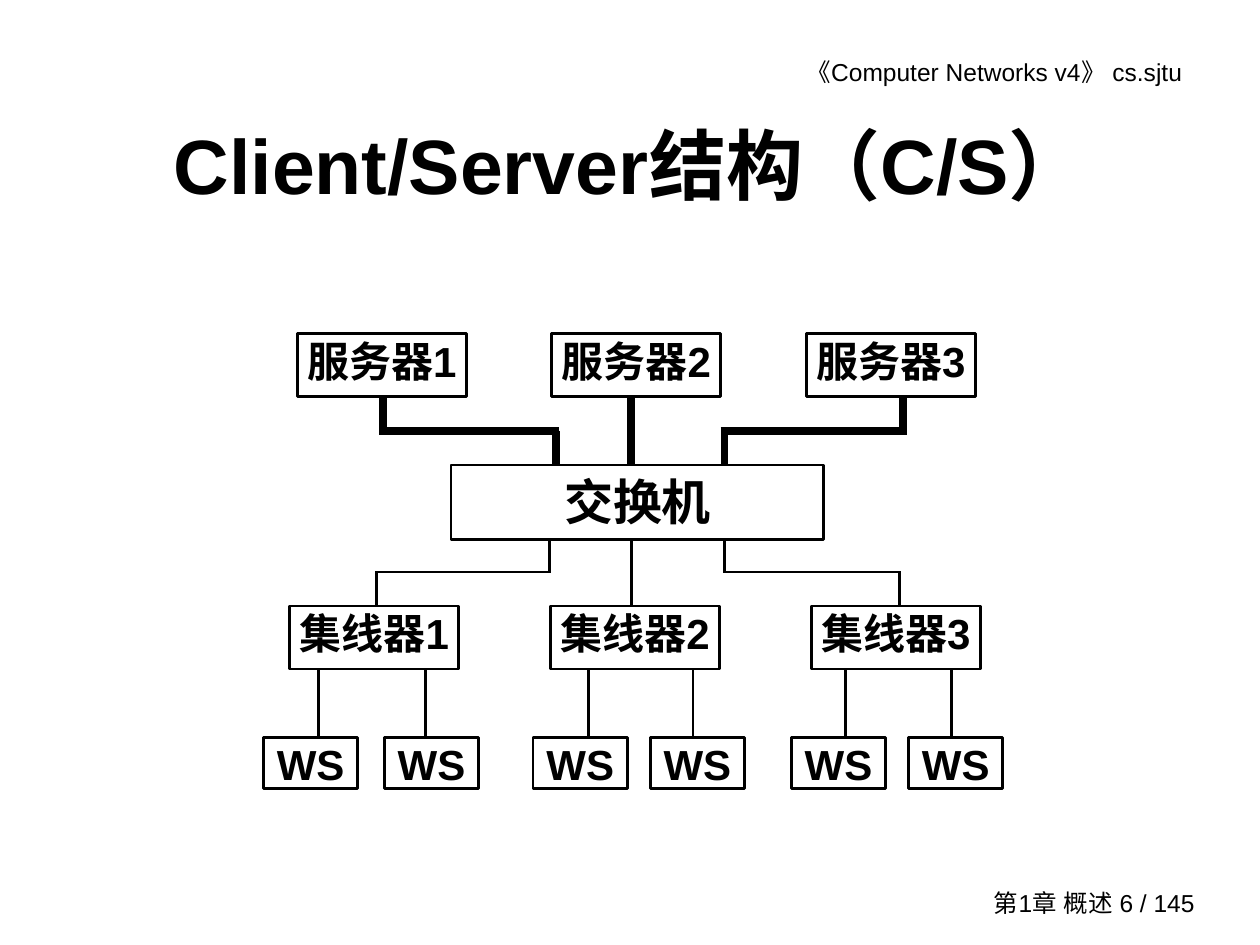
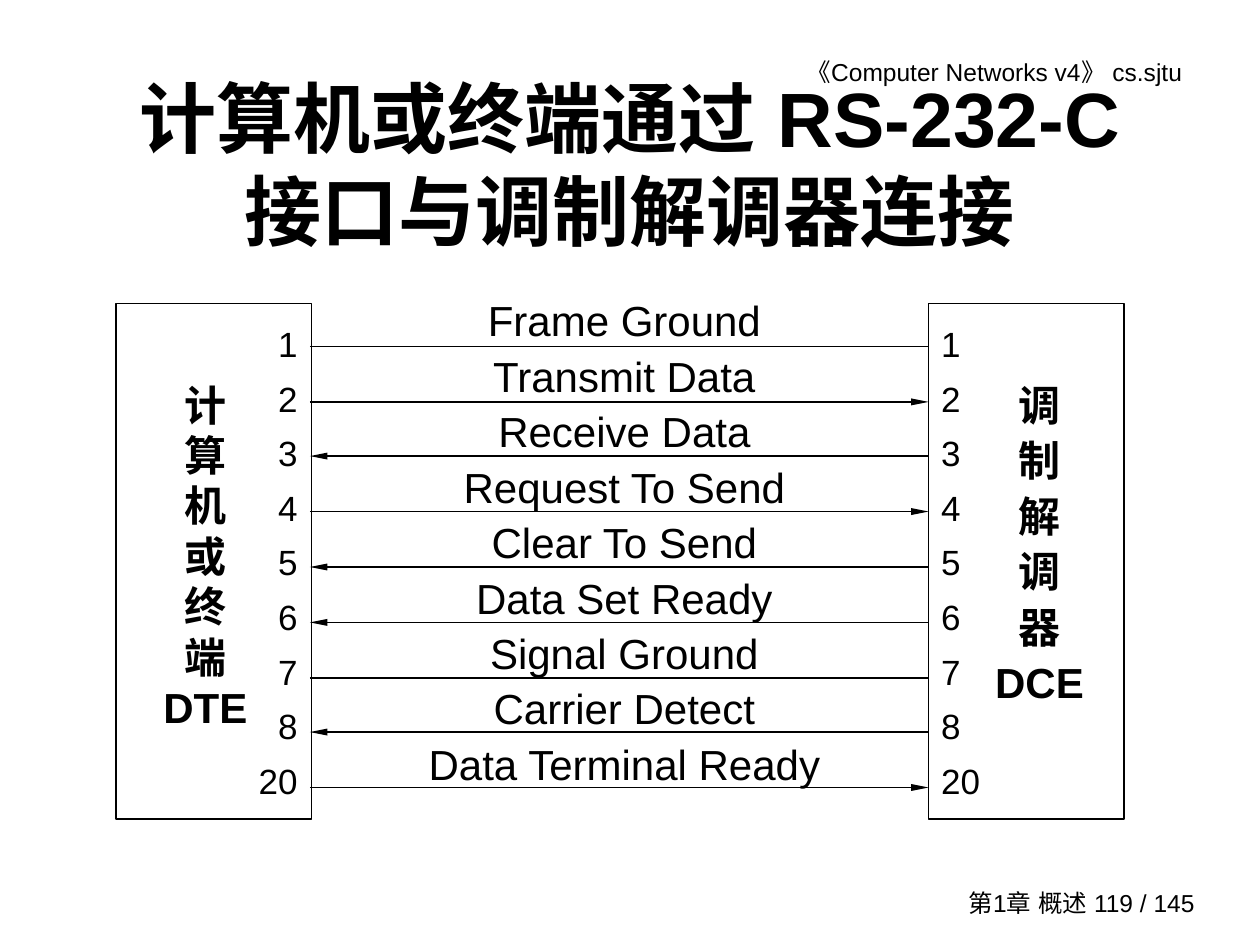
from pptx import Presentation
from pptx.dml.color import RGBColor
from pptx.enum.shapes import MSO_CONNECTOR, MSO_SHAPE
from pptx.enum.text import MSO_ANCHOR, PP_ALIGN
from pptx.oxml.ns import qn
from pptx.util import Pt
from lxml import etree

SCALE = 9144  # EMU in one px, 100 px to the inch
BLACK, WHITE = "000000", "FFFFFF"
LATIN, HAN = "Arial", "Noto Sans CJK SC"
LEFT, MID, RIGHT = PP_ALIGN.LEFT, PP_ALIGN.CENTER, PP_ALIGN.RIGHT
TOP, CENTER = MSO_ANCHOR.TOP, MSO_ANCHOR.MIDDLE
RECT, LINE = MSO_SHAPE.RECTANGLE, MSO_CONNECTOR.STRAIGHT
LEAD = 1.2  # line pitch as a multiple of the text size

HEAD = {"size": 14, "align": RIGHT}
FOOT = {"size": 14, "align": RIGHT, "anchor": CENTER}
TITLE = {"size": 44, "bold": True, "align": MID, "anchor": CENTER}
NODE = {"size": 24, "bold": True, "align": MID, "inset": (2, 1)}
SWITCH = {**NODE, "size": 28, "font": HAN, "lead": 1.3}
SIDE = {"size": 24, "bold": True, "align": MID}
NAME = {"size": 24, "align": MID, "lead": 1.1 * LEAD}
PIN = {"size": 20, "lead": 1.3 * LEAD}

# pin number, signal, end that carries the arrowhead
PINS = [
    ("1", "Frame Ground", None),
    ("2", "Transmit Data", "tail"),
    ("3", "Receive Data", "head"),
    ("4", "Request To Send", "tail"),
    ("5", "Clear To Send", "head"),
    ("6", "Data Set Ready", "head"),
    ("7", "Signal Ground", None),
    ("8", "Carrier Detect", "head"),
    ("20", "Data Terminal Ready", "tail"),
]


def px(*nums):
    return [round(n * SCALE) for n in nums]


def color(code):
    return RGBColor.from_string(code)


def write(shape, lines, form):
    """Fill a shape with one paragraph per line, in the given format."""
    frame = shape.text_frame
    side, edge = px(*form.get("inset", (10, 5)))
    attrs = {"word_wrap": True, "vertical_anchor": form.get("anchor", TOP),
             "margin_left": side, "margin_right": side,
             "margin_top": edge, "margin_bottom": edge}
    for key, val in attrs.items():
        setattr(frame, key, val)
    face = form.get("font", LATIN)
    looks = {"size": Pt(form["size"]), "bold": form.get("bold", False),
             "name": face}
    for num, line in enumerate(lines):
        para = frame.add_paragraph() if num else frame.paragraphs[0]
        para.alignment = form.get("align", LEFT)
        para.line_spacing = Pt(form["size"] * form.get("lead", LEAD))
        run = para.add_run()
        run.text = line
        for key, val in looks.items():
            setattr(run.font, key, val)
        run.font.color.rgb = color(BLACK)
        east = etree.SubElement(run.font._element, qn("a:ea"))
        east.set("typeface", face)


def label(slide, area, lines, form):
    write(slide.shapes.add_textbox(*px(*area)), lines, form)


def box(slide, area, width, fill=None):
    shape = slide.shapes.add_shape(RECT, *px(*area))
    shape.shadow.inherit = False
    if fill:
        shape.fill.solid()
        shape.fill.fore_color.rgb = color(fill)
    else:
        shape.fill.background()
    shape.line.color.rgb = color(BLACK)
    shape.line.width = Pt(width)
    return shape


def node(slide, area, text, form=NODE):
    write(box(slide, area, 1.64, WHITE), [text], form)


def wire(slide, ends, width, tip=None):
    link = slide.shapes.add_connector(LINE, *px(*ends))
    link.line.color.rgb = color(BLACK)
    link.line.width = Pt(width)
    if tip:
        mark = etree.SubElement(link.line._get_or_add_ln(), qn(f"a:{tip}End"))
        for key, val in {"type": "triangle", "w": "sm", "len": "lg"}.items():
            mark.set(key, val)
    etree.SubElement(link._element.spPr, qn("a:effectLst"))


def elbow(slide, start, end, turn, width):
    """Run down to the turn, across, and down again."""
    (x1, y1), (x2, y2) = start, end
    if x1 == x2:
        wire(slide, (x1, y1, x2, y2), width)
        return
    lap = int(width * 100 / 72 / 2)  # covers the corners
    wire(slide, (x1, y1, x1, turn), width)
    wire(slide, (min(x1, x2) - lap, turn, max(x1, x2) + lap, turn), width)
    wire(slide, (x2, turn, x2, y2), width)


def page(deck, title, num):
    """Add a slide with the shared header, footer and title."""
    slide = deck.slides.add_slide(deck.slide_layouts[6])
    label(slide, (535, 40, 413, 34), ["《Computer Networks v4》 cs.sjtu"], HEAD)
    label(slide, (758, 700, 200, 33), [f"第1章 概述 {num} / 145"], FOOT)
    label(slide, (75, 67, 850, 125), [title], TITLE)
    return slide


def network(slide):
    for top, port, low in zip((304, 501, 717), (441, 501, 575), (299, 501, 714)):
        elbow(slide, (top, 315), (port, 369), 342, 4.5)
        drop = 436 if port == 441 else port
        elbow(slide, (drop, 428), (low, 481), 454, 1.64)
    for leg in (253, 338, 467, 550, 671, 755):
        wire(slide, (leg, 531, leg, 585), 1.62)
    for i in range(3):
        node(slide, (236 + 202 * i, 265, 134, 50), f"服务器{i + 1}")
        node(slide, (230 + 207 * i, 481, 134, 50), f"集线器{i + 1}")
    node(slide, (358, 369, 296, 59), "交换机", SWITCH)
    for left in (209, 305, 423, 516, 628, 721):
        node(slide, (left, 585, 75, 41), "WS")


def serial(slide):
    pins, names, tips = zip(*PINS)
    for left in (92, 737):
        box(slide, (left, 241, 155, 409), 0.75)
    label(slide, (183, 241, 63, 401), pins, {**PIN, "align": RIGHT})
    label(slide, (737, 241, 82, 401), pins, PIN)
    label(slide, (308, 225, 375, 400), names, NAME)
    for i, tip in enumerate(tips):
        y = round(275 + 43.75 * i)
        wire(slide, (246, y, 737, y), 0.75, tip)
    label(slide, (117, 296, 92, 292), [*"计算机或终", "端DTE"], SIDE)
    label(slide, (775, 292, 100, 292), [*"调制解调器", "DCE"],
          {**SIDE, "lead": 1.1 * LEAD})


def main():
    deck = Presentation()
    deck.slide_width, deck.slide_height = px(1000, 750)
    network(page(deck, "Client/Server结构（C/S）", 6))
    serial(page(deck, "计算机或终端通过 RS-232-C接口与调制解调器连接", 119))
    deck.save("out.pptx")


if __name__ == "__main__":
    main()
